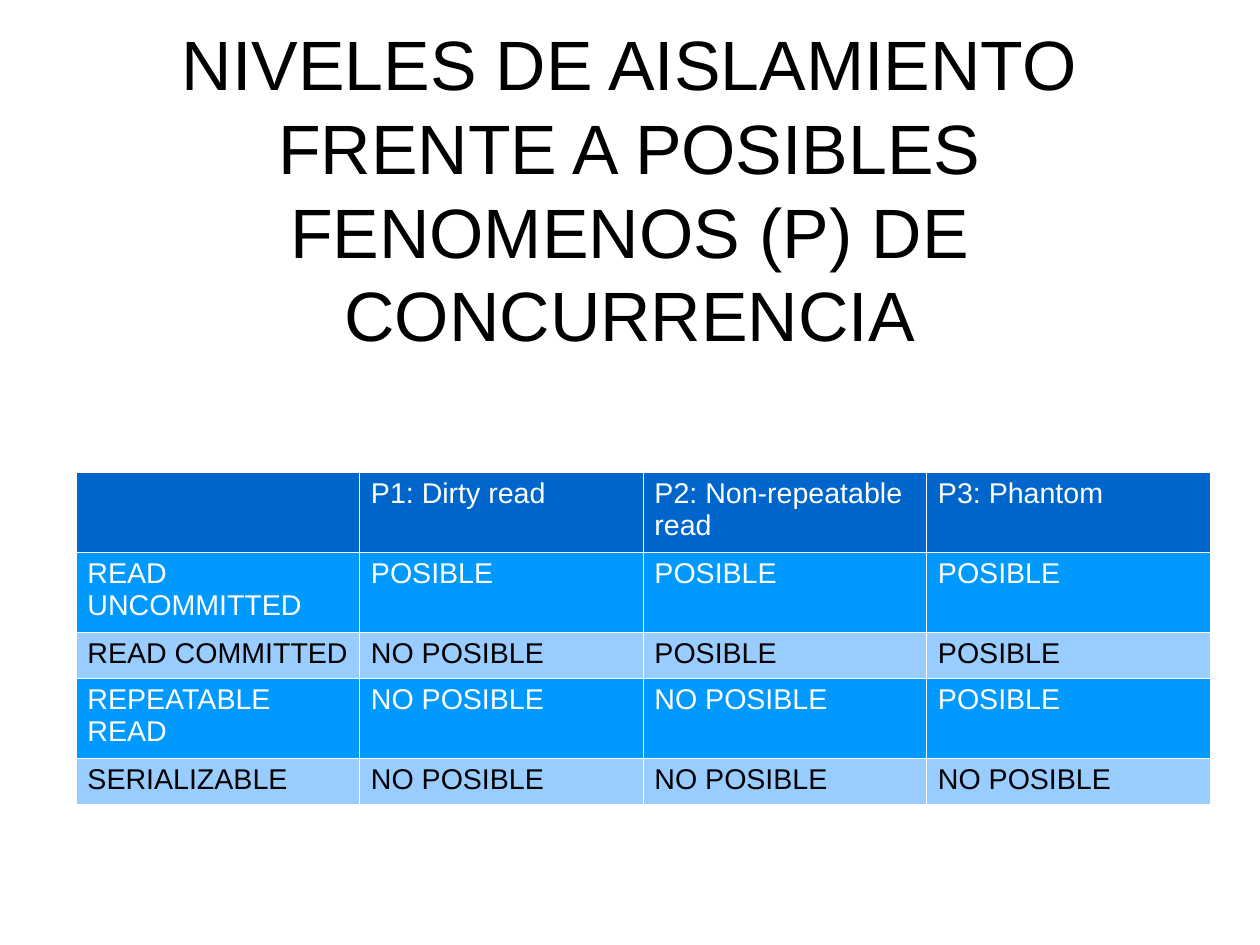
from dataclasses import dataclass

import lxml.etree
import pptx
import pptx.dml.color
import pptx.enum.text
import pptx.oxml.ns
import pptx.util

SLIDE_WIDTH, SLIDE_HEIGHT = pptx.util.Cm(28), pptx.util.Cm(21)
CONTENT_WIDTH = int(0.9 * SLIDE_WIDTH)
FONT = "Arial"
BORDER_POINTS = 0.06
LINE_ROW, DOUBLE_ROW = pptx.util.Inches(0.38), pptx.util.Inches(0.66)
COLOURS = {
    "black": "000000",
    "white": "FFFFFF",
    "header": "0066CC",
    "strong": "0099FF",
    "light": "99CCFF",
}
TITLE = "NIVELES DE AISLAMIENTO FRENTE A POSIBLES FENOMENOS (P) DE CONCURRENCIA"
YES, NO = "POSIBLE", "NO POSIBLE"


@dataclass(frozen=True)
class IsolationRow:
    texts: tuple[str, ...]
    fill: str
    ink: str
    height: int


ROWS = (
    IsolationRow(("", "P1: Dirty read", "P2: Non-repeatable read", "P3: Phantom"),
                 "header", "white", DOUBLE_ROW),
    IsolationRow(("READ UNCOMMITTED", YES, YES, YES), "strong", "white", DOUBLE_ROW),
    IsolationRow(("READ COMMITTED", NO, YES, YES), "light", "black", LINE_ROW),
    IsolationRow(("REPEATABLE READ", NO, NO, YES), "strong", "white", DOUBLE_ROW),
    IsolationRow(("SERIALIZABLE", NO, NO, NO), "light", "black", LINE_ROW),
)


def colour(name: str) -> pptx.dml.color.RGBColor:
    return pptx.dml.color.RGBColor.from_string(COLOURS[name])


def write_text(frame, text: str, *, size: float, ink: str,
               align=pptx.enum.text.PP_ALIGN.LEFT) -> None:
    frame.word_wrap = True
    paragraph = frame.paragraphs[0]
    paragraph.alignment = align
    paragraph.font.size = pptx.util.Pt(size)
    if text:
        run = paragraph.add_run()
        run.text = text
        run.font.name = FONT
        run.font.size = pptx.util.Pt(size)
        run.font.color.rgb = colour(ink)


def add_borders(cell) -> None:
    """Put a white hairline on all four sides; call before filling the cell."""
    properties = cell._tc.get_or_add_tcPr()
    for side in ("a:lnL", "a:lnR", "a:lnT", "a:lnB"):
        line = lxml.etree.SubElement(properties, pptx.oxml.ns.qn(side),
                                     w=str(int(pptx.util.Pt(BORDER_POINTS))))
        fill = lxml.etree.SubElement(line, pptx.oxml.ns.qn("a:solidFill"))
        lxml.etree.SubElement(fill, pptx.oxml.ns.qn("a:srgbClr"), val=COLOURS["white"])


def add_title(slide) -> None:
    box = slide.shapes.add_textbox(int(0.05 * SLIDE_WIDTH), pptx.util.Cm(0.72),
                                   CONTENT_WIDTH, int(0.33 * SLIDE_HEIGHT))
    frame = box.text_frame
    frame.margin_left = frame.margin_right = frame.margin_top = frame.margin_bottom = 0
    frame.vertical_anchor = pptx.enum.text.MSO_ANCHOR.MIDDLE
    frame.auto_size = pptx.enum.text.MSO_AUTO_SIZE.SHAPE_TO_FIT_TEXT
    write_text(frame, TITLE, size=44, ink="black", align=pptx.enum.text.PP_ALIGN.CENTER)


def add_isolation_table(slide) -> None:
    column_count = len(ROWS[0].texts)
    table = slide.shapes.add_table(
        len(ROWS), column_count, pptx.util.Cm(1.69), pptx.util.Cm(10.49),
        CONTENT_WIDTH, sum(row.height for row in ROWS)).table
    for column in table.columns:
        column.width = CONTENT_WIDTH // column_count
    for row_index, row in enumerate(ROWS):
        table.rows[row_index].height = row.height
        for column_index, text in enumerate(row.texts):
            cell = table.cell(row_index, column_index)
            add_borders(cell)
            cell.fill.solid()
            cell.fill.fore_color.rgb = colour(row.fill)
            write_text(cell.text_frame, text, size=18, ink=row.ink)


def main() -> None:
    presentation = pptx.Presentation()
    presentation.slide_width = SLIDE_WIDTH
    presentation.slide_height = SLIDE_HEIGHT
    slide = presentation.slides.add_slide(presentation.slide_layouts[6])
    add_title(slide)
    add_isolation_table(slide)
    presentation.save("out.pptx")


if __name__ == "__main__":
    main()
